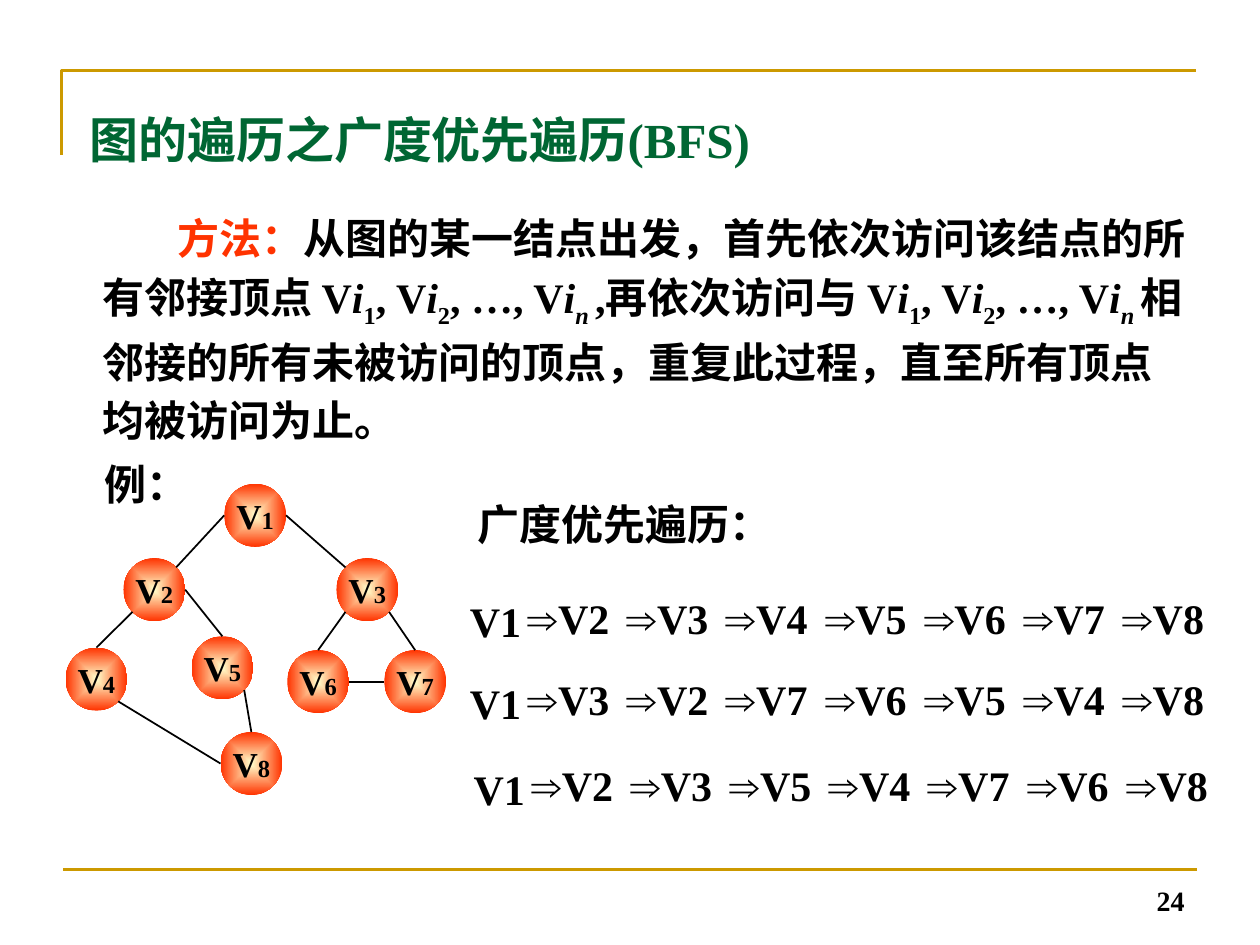
from dataclasses import dataclass
from math import cos, radians, sin

from lxml.etree import SubElement
from pptx import Presentation
from pptx.dml.color import RGBColor
from pptx.enum.shapes import MSO_CONNECTOR, MSO_SHAPE
from pptx.enum.text import MSO_ANCHOR, MSO_AUTO_SIZE, PP_ALIGN
from pptx.oxml.ns import qn
from pptx.util import Inches, Pt

GOLD = RGBColor(0xCC, 0x99, 0x00)
GREEN = RGBColor(0x00, 0x66, 0x33)
RED = RGBColor(0xFF, 0x33, 0x00)
CREAM = RGBColor(0xFF, 0xFF, 0xCC)
BLACK = RGBColor(0, 0, 0)
WHITE = RGBColor(0xFF, 0xFF, 0xFF)

SERIF, SANS, CHINESE = "Times New Roman", "Arial", "Noto Sans CJK SC"
NODE_WIDTH, NODE_HEIGHT = 0.49, 0.5


@dataclass(frozen=True)
class Run:
    text: str
    size: int = 24
    color: RGBColor = BLACK
    font: str = SERIF
    italic: bool = False
    subscript: bool = False


@dataclass(frozen=True)
class Node:
    number: int
    left: float
    top: float

    def site(self, angle: float) -> tuple[float, float]:
        """Point on the outline, with 0 at the right and 90 at the bottom."""
        return (self.left + NODE_WIDTH / 2 * (1 + cos(radians(angle))),
                self.top + NODE_HEIGHT / 2 * (1 + sin(radians(angle))))


@dataclass(frozen=True)
class Visit:
    left: float
    top: float
    order: tuple[int, ...]


def write(frame, runs: list[Run], frame_format: dict, paragraph_format: dict = {}) -> None:
    for name, value in frame_format.items():
        setattr(frame, name, value)
    paragraph = frame.paragraphs[0]
    for name, value in paragraph_format.items():
        setattr(paragraph, name, value)
    for part in runs:
        run = paragraph.add_run()
        run.text = part.text
        font = run.font
        run_format = {"name": part.font, "size": Pt(part.size), "bold": True, "italic": part.italic}
        for name, value in run_format.items():
            setattr(font, name, value)
        font.color.rgb = part.color
        properties = run._r.get_or_add_rPr()
        east_asian = SANS if part.font == SANS else CHINESE
        SubElement(properties, qn("a:ea")).set("typeface", east_asian)
        if part.subscript:
            properties.set("baseline", "-25000")


def place(shape, left: float, top: float, width: float, height: float) -> None:
    shape.left, shape.top = Inches(left), Inches(top)
    shape.width, shape.height = Inches(width), Inches(height)


def add_label(slide, left: float, top: float, width: float, runs: list[Run],
              frame_format: dict, paragraph_format: dict = {}) -> None:
    label = slide.shapes.add_textbox(Inches(left), Inches(top), Inches(width), Inches(0.5))
    write(label.text_frame, runs, frame_format, paragraph_format)


def add_line(slide, start: tuple[float, float], end: tuple[float, float],
             color: RGBColor, width: float) -> None:
    line = slide.shapes.add_connector(MSO_CONNECTOR.STRAIGHT, *map(Inches, start + end))
    line.line.color.rgb = color
    line.line.width = Pt(width)
    SubElement(line._element.spPr, qn("a:effectLst"))


def add_node(slide, node: Node) -> None:
    circle = slide.shapes.add_shape(MSO_SHAPE.OVAL, Inches(node.left), Inches(node.top),
                                    Inches(NODE_WIDTH), Inches(NODE_HEIGHT))
    circle.shadow.inherit = False
    circle.line.fill.background()
    circle.fill.gradient()
    for stop, color in zip(circle.fill.gradient_stops, (CREAM, RED)):
        stop.color.rgb = color
    # Gradient spreading out from the centre
    gradient = circle._element.spPr.find(qn("a:gradFill"))
    gradient.remove(gradient.find(qn("a:lin")))
    spread = SubElement(gradient, qn("a:path"), {"path": "rect"})
    SubElement(spread, qn("a:fillToRect"), dict.fromkeys("ltrb", "50000"))
    write(circle.text_frame, [Run("V", 20), Run(str(node.number), 14)],
          {"word_wrap": False, "vertical_anchor": MSO_ANCHOR.MIDDLE},
          {"alignment": PP_ALIGN.CENTER})


def neighbours() -> list[Run]:
    return [Run("V"), Run("i", italic=True), Run("1", subscript=True),
            Run(", V"), Run("i", italic=True), Run("2", subscript=True),
            Run(", …, V"), Run("i", italic=True), Run("n ", italic=True, subscript=True)]


LOOSE = {"word_wrap": False, "auto_size": MSO_AUTO_SIZE.SHAPE_TO_FIT_TEXT}
FITTED = {"word_wrap": True, "auto_size": MSO_AUTO_SIZE.SHAPE_TO_FIT_TEXT,
          "vertical_anchor": MSO_ANCHOR.TOP}
METHOD = [Run("方法：", color=RED),
          Run("从图的某一结点出发，首先依次访问该结点的所有邻接顶点 "), *neighbours(),
          Run(",再依次访问与 "), *neighbours(),
          Run("相邻接的所有未被访问的顶点，重复此过程，直至所有顶点均被访问为止。")]

NODES = {number: Node(number, left, top) for number, left, top in (
    (1, 1.78, 3.84), (2, 0.98, 4.43), (3, 2.67, 4.43), (4, 0.52, 5.14),
    (5, 1.52, 5.05), (6, 2.28, 5.16), (7, 3.05, 5.16), (8, 1.75, 5.81))}

RIGHT, LOWER_RIGHT, LOWER_LEFT, LEFT, UPPER_LEFT, TOP, UPPER_RIGHT = 0, 45, 135, 180, 225, 270, 315
EDGES = (
    (1, LEFT, 2, UPPER_RIGHT), (1, RIGHT, 3, UPPER_LEFT),
    (2, LOWER_LEFT, 4, TOP), (2, RIGHT, 5, TOP),
    (3, LOWER_LEFT, 6, TOP), (3, LOWER_RIGHT, 7, TOP),
    (4, LOWER_RIGHT, 8, LEFT), (5, LOWER_RIGHT, 8, TOP), (6, RIGHT, 7, LEFT))

VISITS = (
    Visit(3.63, 4.65, (2, 3, 4, 5, 6, 7, 8)),
    Visit(3.63, 5.3, (3, 2, 7, 6, 5, 4, 8)),
    Visit(3.66, 5.98, (2, 3, 5, 4, 7, 6, 8)))
STEP = 4.72 / 6


def main() -> None:
    presentation = Presentation()
    presentation.slide_width, presentation.slide_height = Inches(10), Inches(7.5)
    slide = presentation.slides.add_slide(presentation.slide_layouts[1])

    # Frame lines
    builder = slide.shapes.build_freeform(Inches(0.49), Inches(1.23))
    builder.add_line_segments([(Inches(0.49), Inches(0.56)), (Inches(9.49), Inches(0.56))],
                              close=False)
    corner = builder.convert_to_shape()
    corner.shadow.inherit = False
    corner.fill.background()
    corner.line.color.rgb = GOLD
    corner.line.width = Pt(1.5)
    add_line(slide, (0.5, 6.9), (9.5, 6.9), GOLD, 1.5)

    # Title and method
    title, method = slide.placeholders
    place(title, 0.61, 0.82, 7.22, 0.57)
    title.fill.solid()
    title.fill.fore_color.rgb = WHITE
    write(title.text_frame, [Run("图的遍历之广度优先遍历(BFS)", 28, GREEN)],
          FITTED, {"alignment": PP_ALIGN.LEFT})
    place(method, 0.71, 1.58, 8.85, 2.01)
    properties = method.text_frame.paragraphs[0]._p.get_or_add_pPr()
    properties.set("marL", "0")
    properties.set("indent", str(Inches(0.6)))
    SubElement(properties, qn("a:buNone"))
    write(method.text_frame, METHOD, FITTED, {"line_spacing": 1.15, "space_before": Pt(0)})

    # Example graph
    add_label(slide, 0.73, 3.59, 0.94, [Run("例：", font=CHINESE)],
              LOOSE | {"vertical_anchor": MSO_ANCHOR.MIDDLE})
    for node in NODES.values():
        add_node(slide, node)
    for start, start_angle, end, end_angle in EDGES:
        add_line(slide, NODES[start].site(start_angle), NODES[end].site(end_angle), BLACK, 1)

    # Visiting orders
    add_label(slide, 3.69, 3.91, 2.61, [Run("广度优先遍历：")], LOOSE)
    for visit in VISITS:
        add_label(slide, visit.left, visit.top + 0.03, 0.69, [Run("V1")], LOOSE)
        for index, number in enumerate(visit.order):
            add_label(slide, visit.left + 0.46 + index * STEP, visit.top, 0.95,
                      [Run("⇒", font=SANS), Run(f"V{number}")], LOOSE)

    # Page number
    add_label(slide, 7.17, 6.83, 2.33, [Run("24", 16)],
              {"word_wrap": True, "vertical_anchor": MSO_ANCHOR.BOTTOM},
              {"alignment": PP_ALIGN.RIGHT})

    presentation.save("out.pptx")


if __name__ == "__main__":
    main()
